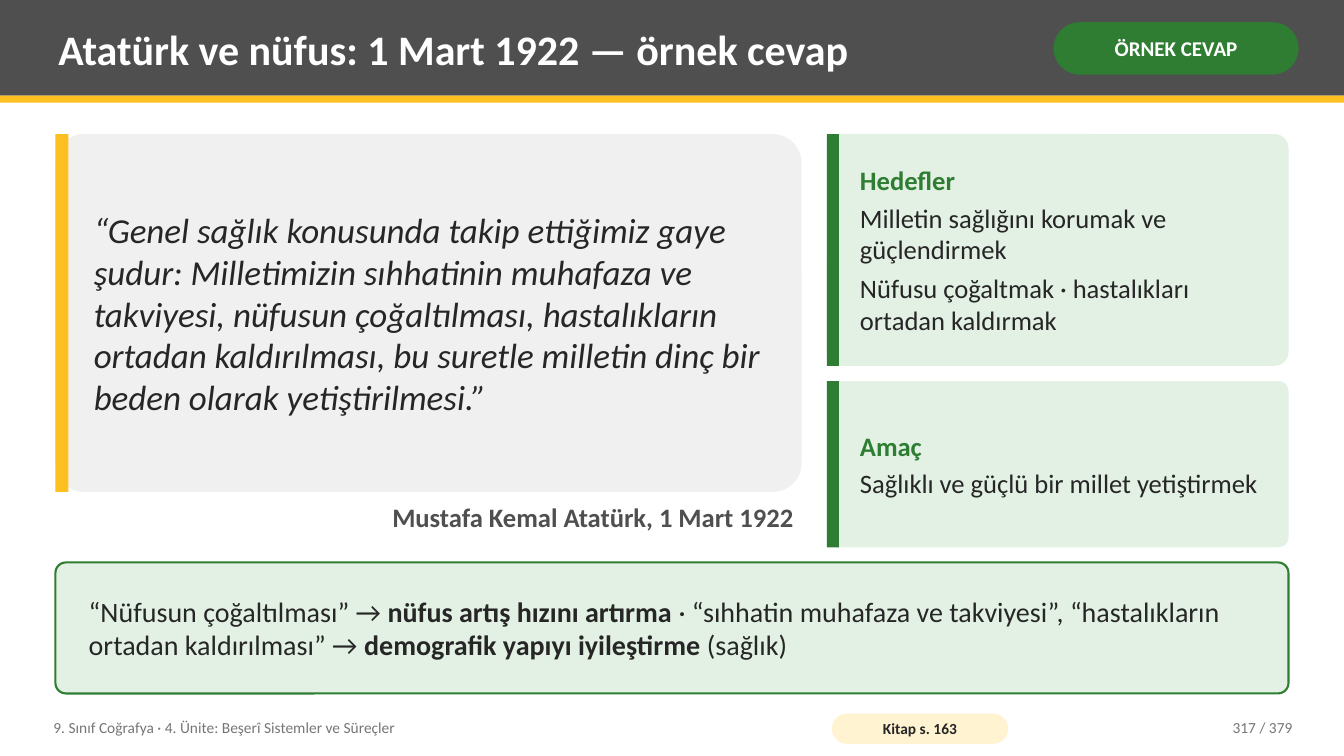
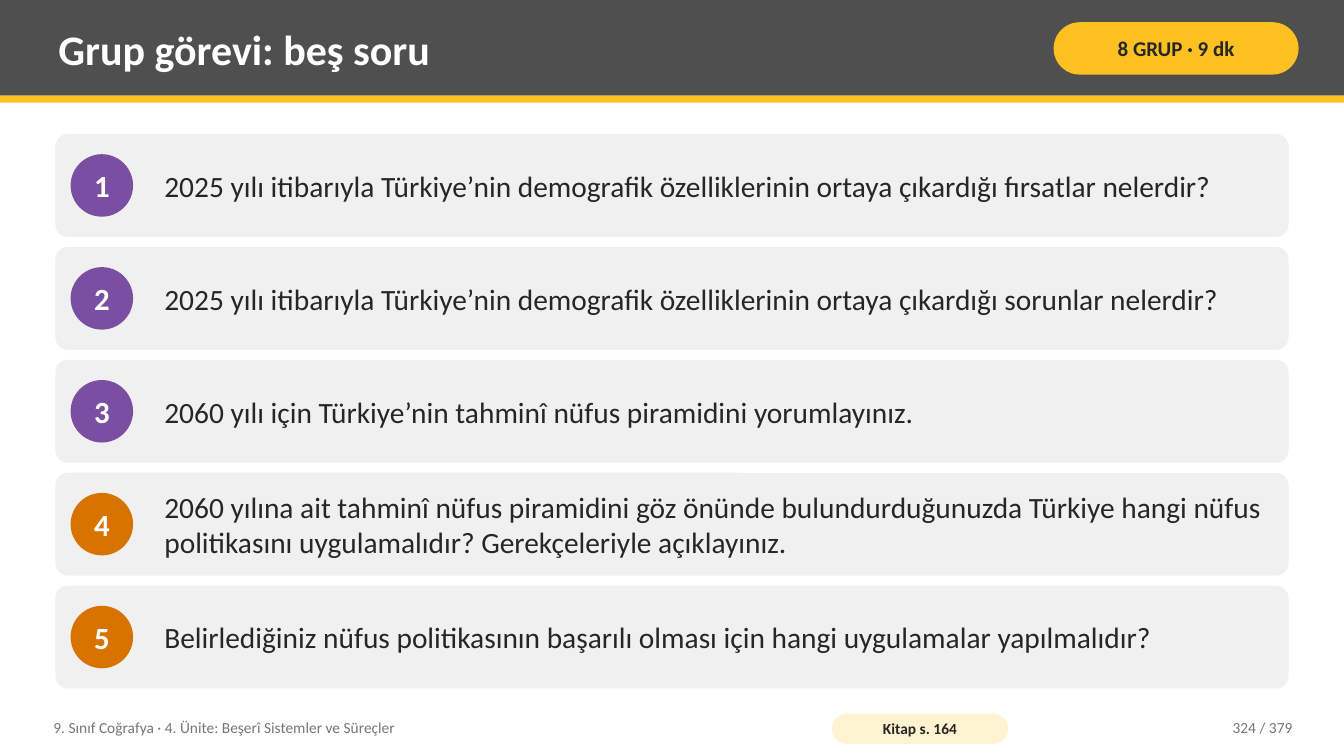
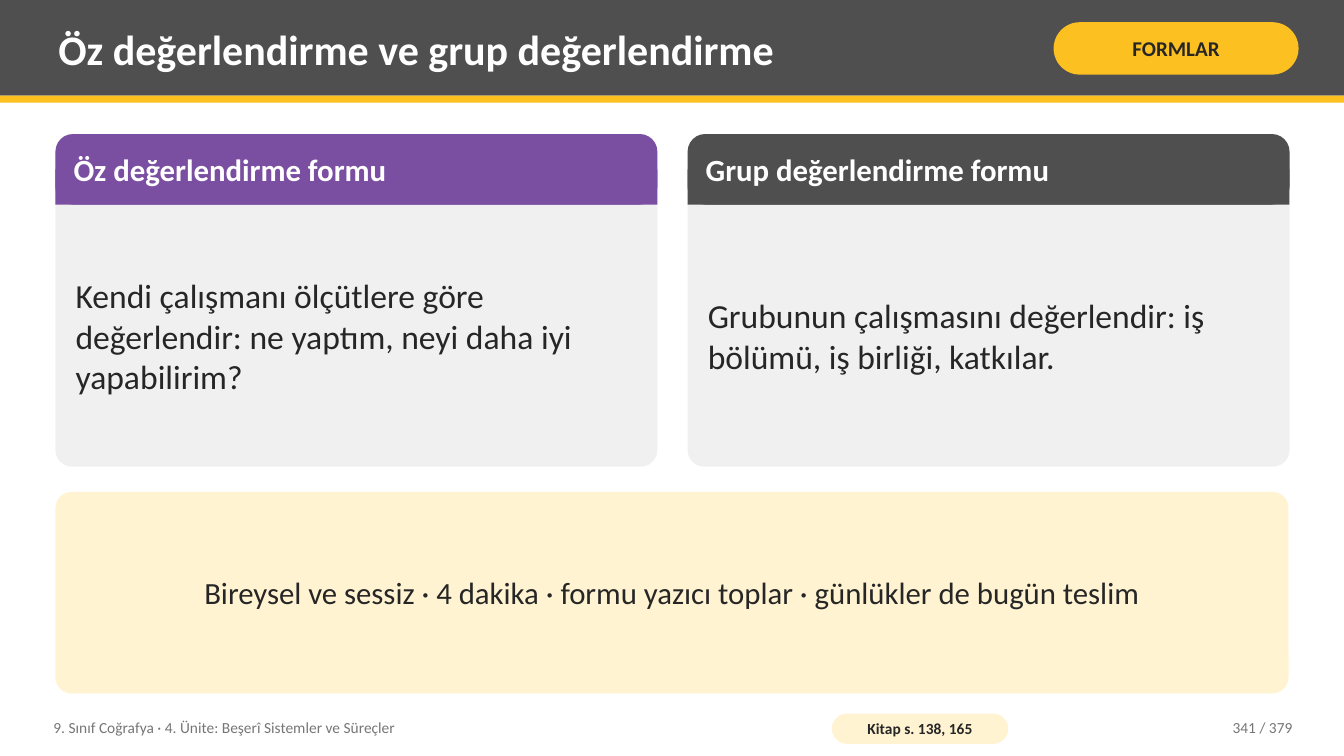
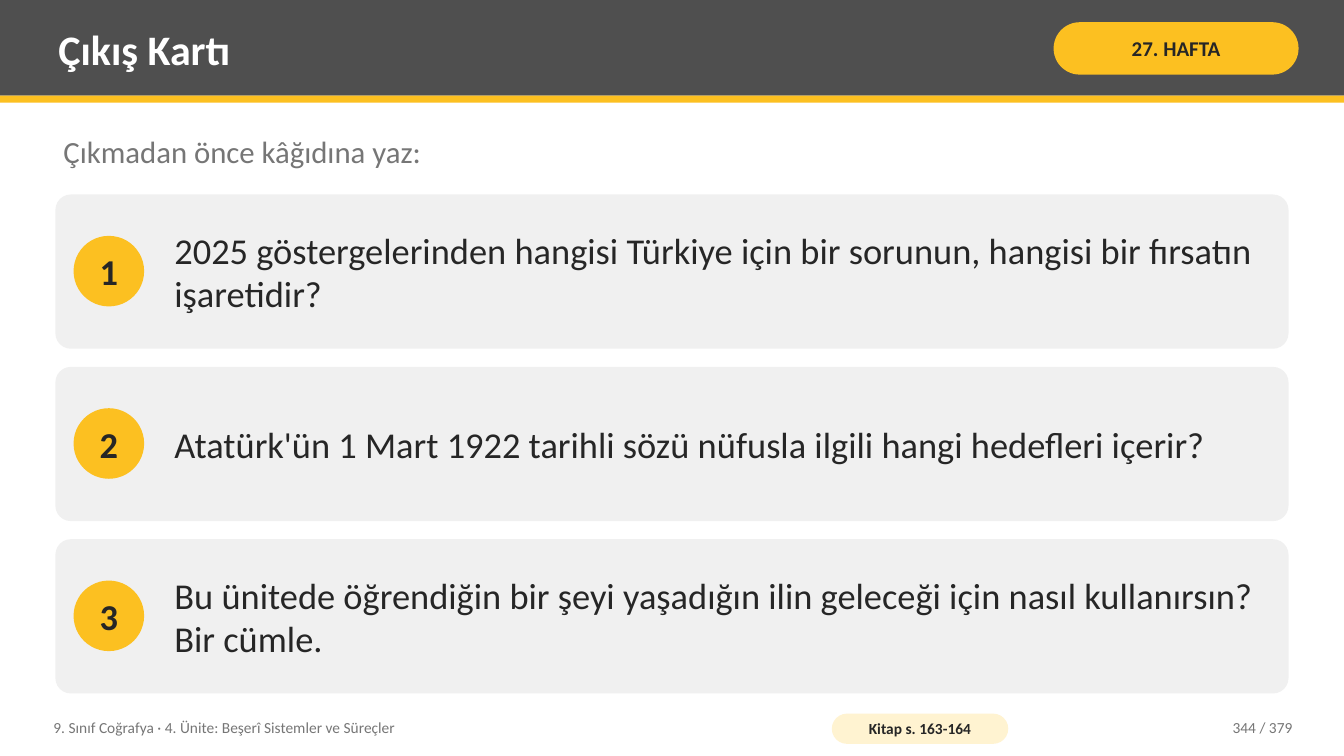
import pptx
import pptx.util
import pptx.dml.color
import pptx.enum.shapes
import pptx.enum.text

RGB = pptx.dml.color.RGBColor
KIND = pptx.enum.shapes.MSO_SHAPE
ALIGN = pptx.enum.text.PP_ALIGN
ANCHOR = pptx.enum.text.MSO_ANCHOR
Pt = pptx.util.Pt

GRAY = RGB(0x4F, 0x4F, 0x4F)
GOLD = RGB(0xFC, 0xC0, 0x21)
CREAM = RGB(0xFF, 0xF3, 0xD1)
GREEN = RGB(0x2E, 0x7D, 0x32)
MINT = RGB(0xE3, 0xF1, 0xE4)
PURPLE = RGB(0x7A, 0x4E, 0xA0)
ORANGE = RGB(0xD9, 0x73, 0x00)
PALE = RGB(0xF0, 0xF0, 0xF0)
MUTED = RGB(0x76, 0x76, 0x76)
INK = RGB(0x26, 0x26, 0x26)
WHITE = RGB(0xFF, 0xFF, 0xFF)

FONT = "Calibri"
UNIT = 9144  # EMU in one px, 100 px to the inch
WIDE, HIGH = 1333, 750
LEFT, TOP, FULL = 55, 133, 1223
TOTAL = 379
COURSE = "9. Sınıf Coğrafya · 4. Ünite: Beşerî Sistemler ve Süreçler"


def px(*nums):
    return [pptx.util.Emu(num * UNIT) for num in nums]


class Deck:
    """Holds the shared style and the slide being drawn."""

    def __init__(self):
        self.file = pptx.Presentation()
        self.file.slide_width, self.file.slide_height = px(WIDE, HIGH)
        self.slide = None

    def start(self, title, badge, pages, number, fill=GOLD, color=INK):
        """Add a slide with its band, title, badge and footer."""
        self.slide = self.file.slides.add_slide(self.file.slide_layouts[5])
        head = self.slide.shapes.title
        for box, tint in (((0, 0, WIDE, 95), GRAY), ((0, 95, WIDE, 7), GOLD)):
            band = self.shape(box, tint)
            head.element.addprevious(band.element)
        head.left, head.top, head.width, head.height = px(50, 7, 975, 82)
        self.put(head, [title], 30, WHITE, bold=True)
        self.pill((1045, 22, 243, 52), badge, 15, fill, color, (5, 2))
        self.text((45, 704, 760, 36), COURSE, 11, MUTED)
        self.pill((825, 708, 175, 30), f"Kitap s. {pages}", 11, CREAM, INK, (4, 0))
        self.text((1130, 704, 160, 36), f"{number} / {TOTAL}", 11, MUTED,
                  align=ALIGN.RIGHT)

    def shape(self, box, fill, kind=KIND.RECTANGLE, bend=None, line=None):
        item = self.slide.shapes.add_shape(kind, *px(*box))
        item.shadow.inherit = False
        item.fill.solid()
        item.fill.fore_color.rgb = fill
        if line is None:
            item.line.fill.background()
        else:
            item.line.color.rgb = line
            item.line.width = Pt(1.5)
        if bend is not None:
            item.adjustments[0] = bend
        return item

    def round(self, box, fill, bend, line=None):
        return self.shape(box, fill, KIND.ROUNDED_RECTANGLE, bend, line)

    def put(self, item, lines, size, color=INK, bold=False, italic=False,
            align=ALIGN.LEFT, anchor=ANCHOR.MIDDLE, pad=(8, 4), wrap=True):
        """Fill a shape with paragraphs; ** marks the ends of bold parts."""
        frame = item.text_frame
        frame.auto_size = pptx.enum.text.MSO_AUTO_SIZE.NONE
        frame.word_wrap = wrap
        frame.vertical_anchor = anchor
        frame.margin_left, frame.margin_top = px(*pad)
        frame.margin_right, frame.margin_bottom = px(*pad)
        for spot, line in enumerate(lines):
            para = frame.add_paragraph() if spot else frame.paragraphs[0]
            para.alignment = align
            font = para.font
            font.name, font.size = FONT, Pt(size)
            font.bold, font.italic = bold, italic
            font.color.rgb = color
            for turn, part in enumerate(line.split("**")):
                run = para.add_run()
                run.text = part
                if turn % 2:
                    run.font.bold = True
        return frame.paragraphs

    def text(self, box, line, size, color=INK, **style):
        item = self.slide.shapes.add_textbox(*px(*box))
        self.put(item, [line], size, color, **style)

    def pill(self, box, line, size, fill, color, pad):
        self.put(self.round(box, fill, 0.5), [line], size, color, bold=True,
                 align=ALIGN.CENTER, pad=pad)

    def panel(self, top, high, head, *body):
        """Draw a green card with a side bar, a heading and body lines."""
        self.round((820, top, 458, high), MINT, 0.06)
        self.shape((820, top, 12, high), GREEN)
        item = self.slide.shapes.add_textbox(*px(845, top + 6, 423, high - 12))
        paras = self.put(item, [head, *body], 19)
        paras[0].font.bold = True
        paras[0].font.color.rgb = GREEN
        for para in paras[:-1]:
            para.space_after = Pt(5)
        paras[0].space_after = Pt(4)

    def form(self, left, head, fill, body):
        """Draw a card with a coloured heading strip."""
        wide = 597
        self.round((left, TOP, wide, 330), PALE, 0.05)
        self.round((left, TOP, wide, 70), fill, 0.25)
        self.shape((left, TOP + 35, wide, 35), fill)
        self.text((left + 10, TOP, wide - 20, 70), head, 22, WHITE, bold=True)
        self.text((left + 12, TOP + 78, wide - 24, 244), body, 24)

    def row(self, top, high, mark, line, fill, color, bend, dot, inset, box, sizes):
        """Draw a numbered card; box is the text's left, width and trim."""
        self.round((LEFT, top, FULL, high), PALE, bend)
        disc = self.shape((LEFT + inset, top + (high - dot) // 2, dot, dot),
                          fill, KIND.OVAL)
        self.put(disc, [str(mark)], sizes[0], color, bold=True,
                 align=ALIGN.CENTER, pad=(0, 0), wrap=False)
        left, wide, trim = box
        self.text((left, top + trim, wide, high - 2 * trim), line, sizes[1])


def quote(deck):
    deck.start("Atatürk ve nüfus: 1 Mart 1922 — örnek cevap", "ÖRNEK CEVAP",
               "163", 317, GREEN, WHITE)
    deck.round((LEFT, TOP, 740, 355), PALE, 0.08)
    deck.shape((LEFT, TOP, 13, 355), GOLD)
    deck.text((85, TOP, 695, 355),
              "“Genel sağlık konusunda takip ettiğimiz gaye şudur: Milletimizin "
              "sıhhatinin muhafaza ve takviyesi, nüfusun çoğaltılması, "
              "hastalıkların ortadan kaldırılması, bu suretle milletin dinç bir "
              "beden olarak yetiştirilmesi.”", 25, italic=True)
    deck.text((LEFT, 493, 740, 50), "Mustafa Kemal Atatürk, 1 Mart 1922", 19, GRAY,
              bold=True, align=ALIGN.RIGHT, anchor=ANCHOR.TOP)
    deck.panel(TOP, 230, "Hedefler", "Milletin sağlığını korumak ve güçlendirmek",
               "Nüfusu çoğaltmak · hastalıkları ortadan kaldırmak")
    deck.panel(378, 165, "Amaç", "Sağlıklı ve güçlü bir millet yetiştirmek")
    note = deck.round((LEFT, 558, FULL, 130), MINT, 0.08, GREEN)
    deck.put(note, ["“Nüfusun çoğaltılması” → **nüfus artış hızını artırma** · "
                    "“sıhhatin muhafaza ve takviyesi”, “hastalıkların ortadan "
                    "kaldırılması” → **demografik yapıyı iyileştirme** (sağlık)"],
             20, pad=(30, 8))


def task(deck):
    deck.start("Grup görevi: beş soru", "8 GRUP · 9 dk", "164", 324)
    lines = (
        "2025 yılı itibarıyla Türkiye’nin demografik özelliklerinin ortaya "
        "çıkardığı fırsatlar nelerdir?",
        "2025 yılı itibarıyla Türkiye’nin demografik özelliklerinin ortaya "
        "çıkardığı sorunlar nelerdir?",
        "2060 yılı için Türkiye’nin tahminî nüfus piramidini yorumlayınız.",
        "2060 yılına ait tahminî nüfus piramidini göz önünde bulundurduğunuzda "
        "Türkiye hangi nüfus politikasını uygulamalıdır? Gerekçeleriyle açıklayınız.",
        "Belirlediğiniz nüfus politikasının başarılı olması için hangi "
        "uygulamalar yapılmalıdır?",
    )
    for spot, line in enumerate(lines):
        deck.row(TOP + 112 * spot, 102, spot + 1, line,
                 PURPLE if spot < 3 else ORANGE, WHITE, bend=0.12, dot=62,
                 inset=15, box=(155, 1108, 3), sizes=(22, 21))


def forms(deck):
    deck.start("Öz değerlendirme ve grup değerlendirme", "FORMLAR", "138, 165", 341)
    deck.form(LEFT, "Öz değerlendirme formu", PURPLE,
              "Kendi çalışmanı ölçütlere göre değerlendir: ne yaptım, neyi daha "
              "iyi yapabilirim?")
    deck.form(682, "Grup değerlendirme formu", GRAY,
              "Grubunun çalışmasını değerlendir: iş bölümü, iş birliği, katkılar.")
    note = deck.round((LEFT, 488, FULL, 200), CREAM, 0.08)
    deck.put(note, ["Bireysel ve sessiz · 4 dakika · formu yazıcı toplar · "
                    "günlükler de bugün teslim"],
             22, align=ALIGN.CENTER, pad=(22, 8))


def leave(deck):
    deck.start("Çıkış Kartı", "27. HAFTA", "163-164", 344)
    deck.text((LEFT, 128, FULL, 55), "Çıkmadan önce kâğıdına yaz:", 22, MUTED,
              anchor=ANCHOR.TOP)
    lines = (
        "2025 göstergelerinden hangisi Türkiye için bir sorunun, hangisi bir "
        "fırsatın işaretidir?",
        "Atatürk'ün 1 Mart 1922 tarihli sözü nüfusla ilgili hangi hedefleri içerir?",
        "Bu ünitede öğrendiğin bir şeyi yaşadığın ilin geleceği için nasıl "
        "kullanırsın? Bir cümle.",
    )
    for spot, line in enumerate(lines):
        deck.row(193 + 171 * spot, 153, spot + 1, line, GOLD, INK, bend=0.1,
                 dot=70, inset=18, box=(165, 1093, 0), sizes=(26, 26))


def main():
    deck = Deck()
    for draw in (quote, task, forms, leave):
        draw(deck)
    deck.file.save("out.pptx")


if __name__ == "__main__":
    main()
